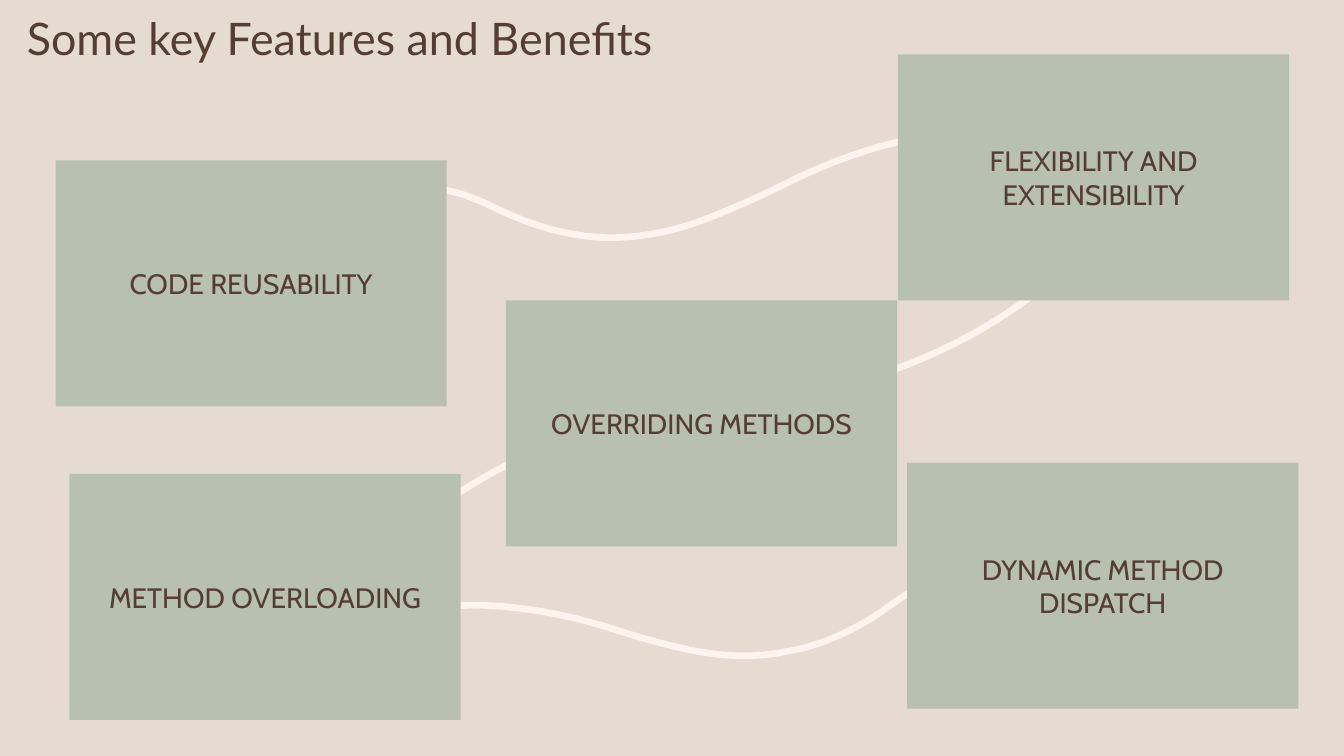
import pptx
import pptx.util
import pptx.dml.color
import pptx.enum.shapes
import pptx.enum.text

Cm, Pt = pptx.util.Cm, pptx.util.Pt
RGBColor = pptx.dml.color.RGBColor
PP_ALIGN = pptx.enum.text.PP_ALIGN

SAND = RGBColor(0xE6, 0xDB, 0xD0)
SAGE = RGBColor(0xB8, 0xC0, 0xB0)
CREAM = RGBColor(0xFE, 0xF3, 0xED)
BROWN = RGBColor(0x54, 0x3E, 0x34)

# Content: text, left and top in cm
TITLE = "Some key Features and Benefits"
FEATURES = [
    ("CODE REUSABILITY", 1.4, 4.04),
    ("FLEXIBILITY AND EXTENSIBILITY", 22.63, 1.37),
    ("OVERRIDING METHODS", 12.75, 7.57),
    ("METHOD OVERLOADING", 1.75, 11.94),
    ("DYNAMIC METHOD DISPATCH", 22.86, 11.66),
]
BOX_W, BOX_H = 9.86, 6.2

# Waves in cm: a start point, then three Bezier points per segment
WAVES = [
    [(21.16, 9.73), (23.19, 9.22), (25.02, 8.31), (26.59, 6.99)],
    [(14.83, 10.87), (12.93, 11.48), (11.3, 12.45), (9.88, 13.69)],
    [(7.8, 5.66),
     (8.89, 4.75), (10.11, 4.5), (11.4, 4.83),
     (11.84, 4.93), (12.22, 5.11), (12.62, 5.31),
     (13.46, 5.69), (14.35, 5.97), (15.34, 5.99),
     (16.18, 5.99), (17.02, 5.82), (17.81, 5.51),
     (18.72, 5.16), (19.23, 4.9), (19.76, 4.65),
     (20.35, 4.34), (23.88, 2.62), (26.09, 3.71)],
    [(23.37, 14.71),
     (22.96, 14.88), (22.63, 15.11), (22.28, 15.37),
     (21.54, 15.88), (20.7, 16.28), (19.76, 16.43),
     (18.95, 16.59), (18.14, 16.54), (17.3, 16.36),
     (16.38, 16.15), (15.85, 15.98), (15.29, 15.8),
     (14.68, 15.62), (11.02, 14.48), (8.81, 16.15)],
]
STEPS = 16


def bezier(a, b, c, d, t):
    u = 1 - t
    return tuple(Cm(u**3 * i + 3 * u * u * t * j + 3 * u * t * t * k + t**3 * m)
                 for i, j, k, m in zip(a, b, c, d))


def write(sp, text, font, size, align):
    tf = sp.text_frame
    tf.word_wrap = True
    tf.vertical_anchor = pptx.enum.text.MSO_ANCHOR.MIDDLE
    p = tf.paragraphs[0]
    p.alignment = align
    r = p.add_run()
    r.text = text
    r.font.name = font
    r.font.size = Pt(size)
    r.font.color.rgb = BROWN
    return p


prs = pptx.Presentation()
prs.slide_width, prs.slide_height = Cm(33.87), Cm(19.05)
s = prs.slides.add_slide(prs.slide_layouts[6])
s.background.fill.solid()
s.background.fill.fore_color.rgb = SAND

# Waves behind the boxes
for wave in WAVES:
    points = [bezier(*wave[i:i + 4], n / STEPS)
              for i in range(0, len(wave) - 1, 3) for n in range(1, STEPS + 1)]
    fb = s.shapes.build_freeform(Cm(wave[0][0]), Cm(wave[0][1]))
    fb.add_line_segments(points, close=False)
    sp = fb.convert_to_shape()
    sp.shadow.inherit = False
    sp.fill.background()
    sp.line.color.rgb = CREAM
    sp.line.width = Pt(4.75)

# Title
sp = s.shapes.add_textbox(Cm(0.43), Cm(0.1), Cm(22.43), Cm(1.88))
p = write(sp, TITLE, "Lato", 32, PP_ALIGN.LEFT)
p.line_spacing = 0.9

# Feature boxes
for text, left, top in FEATURES:
    sp = s.shapes.add_shape(pptx.enum.shapes.MSO_SHAPE.RECTANGLE,
                            Cm(left), Cm(top), Cm(BOX_W), Cm(BOX_H))
    sp.shadow.inherit = False
    sp.fill.solid()
    sp.fill.fore_color.rgb = SAGE
    sp.line.fill.background()
    write(sp, text, "Cabin", 20, PP_ALIGN.CENTER)

prs.save("out.pptx")
